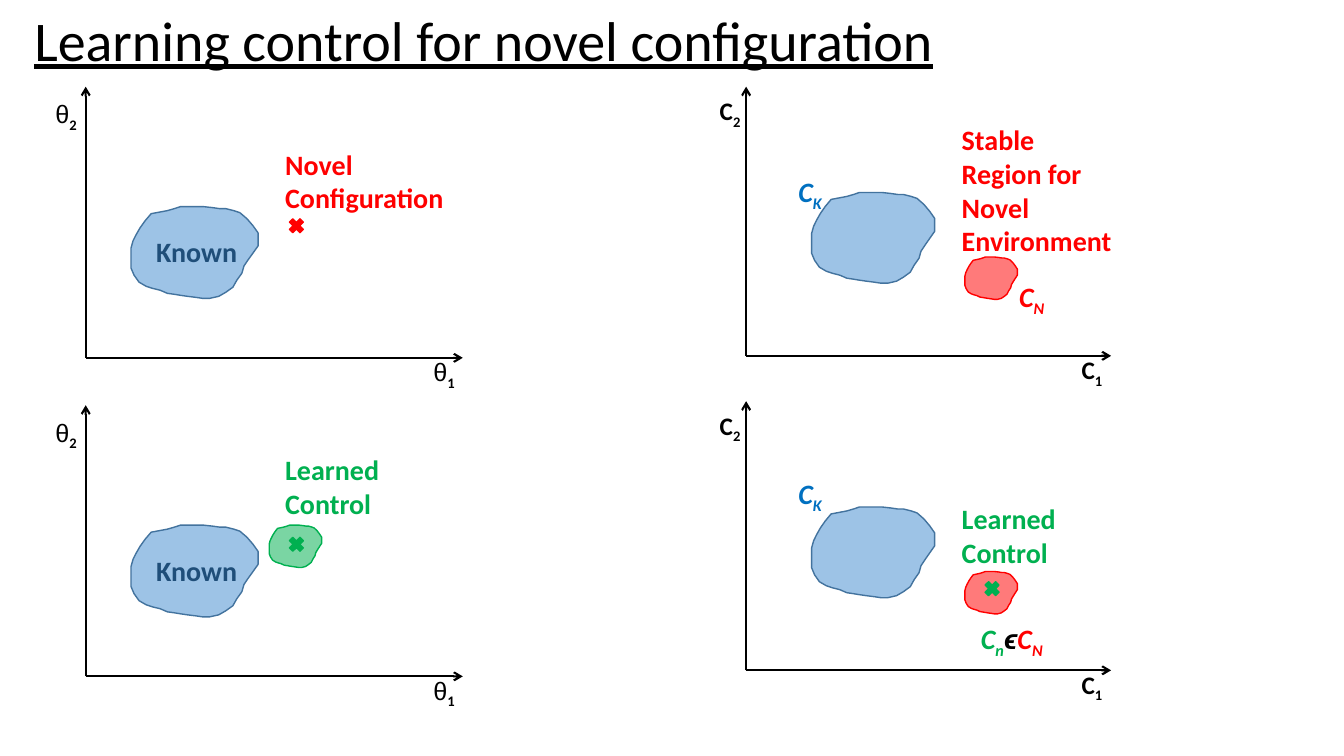
from dataclasses import dataclass

from lxml import etree
from pptx import Presentation
from pptx import util as u
from pptx.dml.color import RGBColor
from pptx.enum import shapes, text
from pptx.oxml import ns


@dataclass(frozen=True)
class Theme:
    black: str = "000000"
    red: str = "FF0000"
    green: str = "00B050"
    blue: str = "0070C0"
    navy: str = "1F4E79"
    sky: str = "9DC3E6"
    edge: str = "43739E"
    font: str = "Calibri"
    greek: str = "Arial"
    head: int = 40
    note: int = 20
    axis: int = 18


@dataclass(frozen=True)
class Run:
    text: str
    tint: str
    sub: bool = False
    font: str = Theme.font
    bold: bool = True


@dataclass(frozen=True)
class Label:
    x: float
    y: float
    w: float
    h: float
    lines: list[list[Run]]
    size: int = Theme.note
    slant: bool = False


@dataclass(frozen=True)
class Plot:
    x: float
    y: float
    w: float
    h: float
    name: Run
    dx: float
    dy: float


@dataclass(frozen=True)
class Blob:
    x: float
    y: float
    w: float
    h: float
    fill: str
    line: str
    alpha: int = 100


@dataclass(frozen=True)
class Cross:
    x: float
    y: float
    tint: str


T = Theme()
RIM = [
    (36, 4), (20, 7), (14, 14), (9, 21), (5, 28), (2, 34), (0, 41), (0, 48),
    (0, 55), (0, 61), (3, 68), (8, 75), (15, 79), (21, 81), (29, 83), (36, 86),
    (43, 87), (49, 88), (56, 89), (64, 90), (71, 91), (78, 91), (87, 89),
    (94, 85), (101, 80), (105, 73), (110, 66), (112, 59), (116, 53), (121, 46),
    (126, 39), (126, 32), (126, 26), (121, 19), (115, 12), (108, 6), (102, 4),
    (94, 2), (88, 2), (81, 1), (72, 0), (64, 0), (56, 0), (49, 0), (43, 2),
]
RIM_W, RIM_H = 126, 91


def tone(code: str) -> RGBColor:
    return RGBColor.from_string(code)


def paint(shape, fill: str, line: str) -> None:
    shape.shadow.inherit = False
    shape.fill.solid()
    shape.fill.fore_color.rgb = tone(fill)
    shape.line.color.rgb = tone(line)
    shape.line.width = u.Pt(1)


def place(shape, x: float, y: float, w: float, h: float) -> None:
    shape.left, shape.top = u.Inches(x), u.Inches(y)
    shape.width, shape.height = u.Inches(w), u.Inches(h)


def arrow(slide, x: float, y: float, to_x: float, to_y: float) -> None:
    line = slide.shapes.add_connector(
        shapes.MSO_CONNECTOR.STRAIGHT, *map(u.Inches, (x, y, to_x, to_y)))
    line.line.color.rgb = tone(T.black)
    line.line.width = u.Pt(1.5)
    tip = etree.SubElement(line.line._get_or_add_ln(), ns.qn("a:tailEnd"))
    tip.set("type", "arrow")
    etree.SubElement(line._element.spPr, ns.qn("a:effectLst"))


def write(slide, label: Label) -> None:
    box = slide.shapes.add_textbox(
        *map(u.Inches, (label.x, label.y, label.w, label.h)))
    frame = box.text_frame
    frame.word_wrap = label.w > 1
    for i, line in enumerate(label.lines):
        para = frame.add_paragraph() if i else frame.paragraphs[0]
        para.font.size = u.Pt(label.size)
        para.font.italic = label.slant
        for part in line:
            run = para.add_run()
            run.text = part.text
            run.font.name = part.font
            run.font.bold = part.bold
            run.font.color.rgb = tone(part.tint)
            if part.sub:
                run._r.get_or_add_rPr().set("baseline", "-25000")


def plot(slide, p: Plot) -> None:
    top, end = p.y - p.h, p.x + p.w
    arrow(slide, p.x, p.y, p.x, top)
    arrow(slide, p.x, p.y, end, p.y)
    spots = {"2": (p.x - p.dx, top + p.dy), "1": (end - 0.39, p.y - 0.06)}
    for digit, (x, y) in spots.items():
        line = [p.name, Run(digit, T.black, True)]
        write(slide, Label(x, y, 0.5, 0.4, [line], T.axis))


def blob(slide, b: Blob) -> None:
    rim = [(u.Inches(b.x + b.w * x / RIM_W), u.Inches(b.y + b.h * y / RIM_H))
           for x, y in RIM]
    path = slide.shapes.build_freeform(*rim[0])
    path.add_line_segments(rim[1:], close=True)
    shape = path.convert_to_shape()
    paint(shape, b.fill, b.line)
    if b.alpha < 100:
        color = shape._element.spPr.find(ns.qn("a:solidFill"))[0]
        etree.SubElement(color, ns.qn("a:alpha")).set("val", str(b.alpha * 1000))


def cross(slide, c: Cross) -> None:
    shape = slide.shapes.add_shape(
        shapes.MSO_SHAPE.MATH_MULTIPLY, *map(u.Inches, (c.x, c.y, 0.2, 0.2)))
    paint(shape, c.tint, c.tint)


def title(slide, words: str) -> None:
    head = slide.shapes.title
    place(head, 0.24, 0, 10.32, 0.77)
    frame = head.text_frame
    frame.text = words
    frame.auto_size = text.MSO_AUTO_SIZE.NONE
    frame.vertical_anchor = text.MSO_ANCHOR.TOP
    para = frame.paragraphs[0]
    para.alignment = text.PP_ALIGN.LEFT
    para.font.name = T.font
    para.font.size = u.Pt(T.head)
    para.font.underline = True
    para.font.color.rgb = tone(T.black)


def pair(base: str, foot: str, tint: str) -> list[Run]:
    return [Run(base, tint), Run(foot, tint, True)]


THETA = Run("θ", T.black, font=T.greek, bold=False)
CEE = Run("C", T.black)
LEFT, RIGHT = (0, 3.16), (0, 3.12)

PLOTS = [Plot(0.85, 3.55 + d, 3.74, 2.69, THETA, 0.4, 0.07) for d in LEFT]
PLOTS += [Plot(7.4, 3.53 + d, 3.62, 2.67, CEE, 0.36, 0.04) for d in RIGHT]

BLOBS = [Blob(1.3, 2.05 + d, 1.26, 0.91, T.sky, T.edge) for d in LEFT]
BLOBS += [Blob(8.05, 1.91 + d, 1.22, 0.9, T.sky, T.edge) for d in RIGHT]
BLOBS += [Blob(9.57, 2.55 + d, 0.52, 0.42, T.red, T.red, 52) for d in RIGHT]
BLOBS += [Blob(2.67, 5.21, 0.52, 0.42, T.green, T.green, 52)]

CROSSES = [Cross(2.84, 2.14, T.red), Cross(2.84, 5.3, T.green),
           Cross(9.74, 5.74, T.green)]

LABELS = [Label(1.45, 2.28 + d, 1.11, 0.44, [[Run("Known", T.navy)]])
          for d in LEFT]
LABELS += [Label(7.82, y, 0.46, 0.44, [pair("C", "K", T.blue)], slant=True)
           for y in (1.68, 4.68)]
LABELS += [
    Label(2.73, 1.41, 1.85, 0.77, [[Run("Novel Configuration", T.red)]]),
    Label(2.73, 4.44, 1.76, 0.77,
          [[Run("Learned", T.green)], [Run("Control", T.green)]]),
    Label(9.44, 1.17, 1.71, 1.45,
          [[Run("Stable", T.red)], [Run("Region for Novel Environment", T.red)]]),
    Label(9.44, 4.93, 1.71, 0.77, [[Run("Learned Control", T.green)]]),
    Label(10.01, 2.72, 0.62, 0.44, [pair("C", "N", T.red)], slant=True),
    Label(9.63, 6.12, 0.84, 0.44,
          [[*pair("C", "n", T.green), Run("ϵ", T.black, font=T.greek),
            *pair("C", "N", T.red)]], slant=True),
]


def main() -> None:
    deck = Presentation()
    deck.slide_width, deck.slide_height = u.Inches(13.33), u.Inches(7.5)
    slide = deck.slides.add_slide(deck.slide_layouts[5])
    title(slide, "Learning control for novel configuration")
    for draw, items in ((plot, PLOTS), (blob, BLOBS), (cross, CROSSES),
                        (write, LABELS)):
        for item in items:
            draw(slide, item)
    deck.save("out.pptx")


if __name__ == "__main__":
    main()
